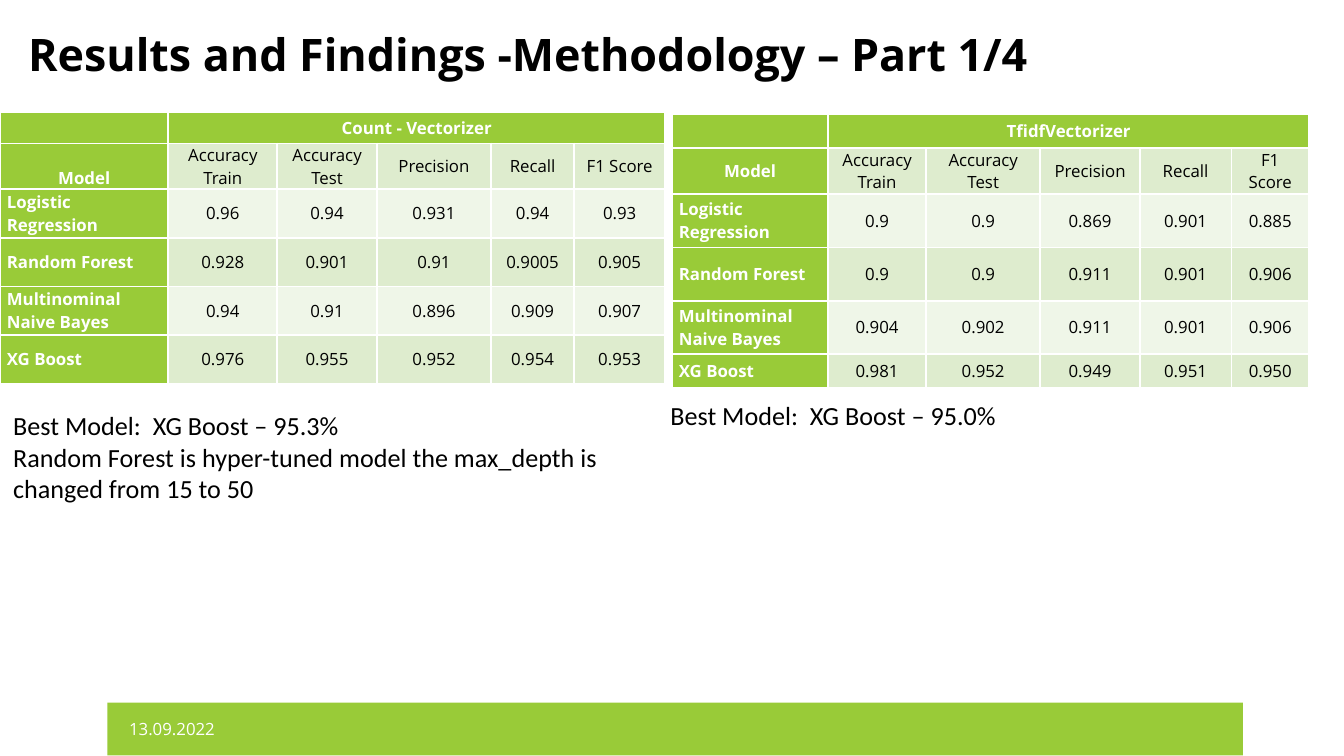
"""Build the results slide comparing two vectorizers across four models."""
import pptx
import pptx.util
import pptx.dml.color
import pptx.enum.shapes
import pptx.enum.text
import pptx.oxml.ns
import lxml.etree

Cm, Pt = pptx.util.Cm, pptx.util.Pt
Align = pptx.enum.text.PP_ALIGN
Anchor = pptx.enum.text.MSO_ANCHOR
Fit = pptx.enum.text.MSO_AUTO_SIZE
qn = pptx.oxml.ns.qn

theme = {
    "green": pptx.dml.color.RGBColor.from_string("99CB38"),
    "bands": [pptx.dml.color.RGBColor.from_string(c) for c in ("EFF6E8", "DEECCE")],
    "white": pptx.dml.color.RGBColor.from_string("FFFFFF"),
    "black": pptx.dml.color.RGBColor.from_string("000000"),
    "head": {"name": "Open Sans", "size": Pt(24), "bold": True},
    "cell": {"name": "Open Sans", "size": Pt(9)},
    "note": {"name": "Calibri", "size": Pt(14)},
}


def apply(item, vals):
    for key, val in vals.items():
        setattr(item, key, val)


def write(frame, lines, font, color, frame_vals, para_vals):
    apply(frame, frame_vals)
    for i, line in enumerate(lines):
        para = frame.add_paragraph() if i else frame.paragraphs[0]
        apply(para, para_vals)
        run = para.add_run()
        run.text = line
        apply(run.font, font)
        run.font.color.rgb = color


deck = pptx.Presentation()
apply(deck, {"slide_width": Cm(25.4), "slide_height": Cm(14.29)})
slide = deck.slides.add_slide(deck.slide_layouts[5])

bar = slide.shapes.add_shape(
    pptx.enum.shapes.MSO_SHAPE.RECTANGLE, Cm(2.03), Cm(13.28), Cm(21.46), Cm(1))
bar.shadow.inherit = False
bar.fill.solid()
bar.fill.fore_color.rgb = theme["green"]
bar.line.fill.background()

flush = {"margin_left": 0, "margin_right": 0, "margin_top": 0, "margin_bottom": 0}
title = slide.shapes.title
apply(title, {"left": Cm(0.53), "top": Cm(0.51), "width": Cm(22.12), "height": Cm(1.4)})
write(title.text_frame, ["Results and Findings -Methodology – Part 1/4"],
      theme["head"], theme["black"],
      {**flush, "vertical_anchor": Anchor.TOP, "auto_size": Fit.NONE, "word_wrap": True},
      {"alignment": Align.LEFT})

models = ["Logistic Regression", "Random Forest", "Multinominal Naive Bayes", "XG Boost"]
heads = ["Model", "Accuracy Train", "Accuracy Test", "Precision", "Recall", "F1 Score"]
tables = [
    {"name": "Count - Vectorizer", "left": 0, "top": 2.13, "anchor": Anchor.BOTTOM,
     "cols": [3.18, 2.06, 1.88, 2.16, 1.57, 1.72],
     "rows": [0.58, 0.82, 0.92, 0.92, 0.92, 0.92],
     "data": ["0.96 0.94 0.931 0.94 0.93", "0.928 0.901 0.91 0.9005 0.905",
              "0.94 0.91 0.896 0.909 0.907", "0.976 0.955 0.952 0.954 0.953"]},
    {"name": "TfidfVectorizer", "left": 12.7, "top": 2.16, "anchor": Anchor.MIDDLE,
     "cols": [2.95, 1.85, 2.16, 1.88, 1.73, 1.47],
     "rows": [0.64, 0.72, 1.01, 1.01, 1.01, 0.64],
     "data": ["0.9 0.9 0.869 0.901 0.885", "0.9 0.9 0.911 0.901 0.906",
              "0.904 0.902 0.911 0.901 0.906", "0.981 0.952 0.949 0.951 0.950"]},
]
pad = {**flush, "margin_left": Cm(0.13), "margin_right": Cm(0.13)}

for spec in tables:
    cols, rows = spec["cols"], spec["rows"]
    grid = slide.shapes.add_table(
        len(rows), len(cols), Cm(spec["left"]), Cm(spec["top"]),
        Cm(sum(cols)), Cm(sum(rows))).table
    grid.first_col = True
    for col, size in zip(grid.columns, cols):
        col.width = Cm(size)
    for row, size in zip(grid.rows, rows):
        row.height = Cm(size)
    texts = [["", spec["name"], "", "", "", ""], heads]
    texts += [[model, *line.split()] for model, line in zip(models, spec["data"])]
    for r, line in enumerate(texts):
        for c, text in enumerate(line):
            cell = grid.cell(r, c)
            label = r == 0 or c == 0
            cell.fill.solid()
            cell.fill.fore_color.rgb = theme["green"] if label else theme["bands"][r % 2]
            apply(cell, {**pad, "vertical_anchor": Anchor.MIDDLE})
            if text:
                side = Align.JUSTIFY if c == 0 and r > 1 else Align.CENTER
                write(cell.text_frame, [text], {**theme["cell"], "bold": label},
                      theme["white"] if label else theme["black"], {},
                      {"alignment": side, "space_before": Pt(6)})
            else:
                lxml.etree.SubElement(cell.text_frame.paragraphs[0]._p,
                                      qn("a:endParaRPr"), sz="900")
    grid.cell(1, 0).vertical_anchor = spec["anchor"]
    grid.cell(0, 1).merge(grid.cell(0, 5))

grow = {"word_wrap": True, "auto_size": Fit.SHAPE_TO_FIT_TEXT}
mid = {**flush, "word_wrap": True, "vertical_anchor": Anchor.MIDDLE}
notes = [
    ((0, 7.62, 12.27, 2.06),
     ["Best Model:  XG Boost – 95.3%",
      "Random Forest is hyper-tuned model the max_depth is changed from 15 to 50"],
     "note", "black", grow),
    ((12.42, 7.42, 9.35, 0.86), ["Best Model:  XG Boost – 95.0%"], "note", "black", grow),
    ((2.44, 13.39, 3.05, 0.76), ["13.09.2022"], "cell", "white", mid),
]
for place, lines, font, color, vals in notes:
    box = slide.shapes.add_textbox(*map(Cm, place))
    write(box.text_frame, lines, theme[font], theme[color], vals, {})

deck.save("out.pptx")
